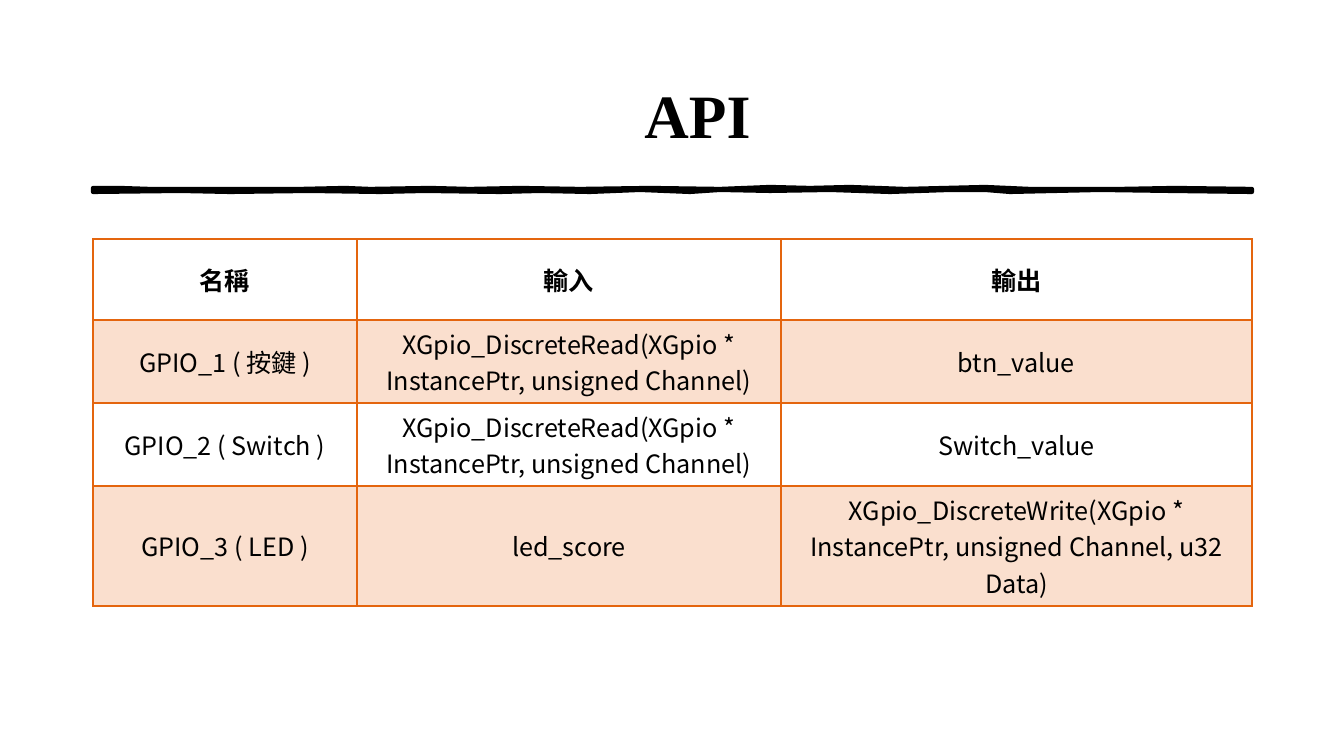
from lxml import etree
from pptx import Presentation
from pptx import util as u
from pptx.dml.color import RGBColor
from pptx.enum import text
from pptx.oxml.ns import qn

# Content
TITLE = "API"
READ = "XGpio_DiscreteRead(XGpio * InstancePtr, unsigned Channel)"
WRITE = "XGpio_DiscreteWrite(XGpio * InstancePtr, unsigned Channel, u32 Data)"
ROWS = [
    ("名稱", "輸入", "輸出"),
    ("GPIO_1 ( 按鍵 )", READ, "btn_value"),
    ("GPIO_2 ( Switch )", READ, "Switch_value"),
    ("GPIO_3 ( LED )", "led_score", WRITE),
]

# Look and layout, in px
COLORS = {"ink": "000000", "accent": "E4650E", "band": "FADFCE"}
SANS, SERIF = "Noto Sans CJK JP", "Times New Roman"
PX = 9071.43  # EMU per px, 100.8 px to the inch
LEFT, WIDTH = 93, 1159
TITLE_TOP, TITLE_HEIGHT, TITLE_INDENT = 40, 146, 50
TABLE_TOP = 239
COL_WIDTHS = [264, 424, 471]
ROW_HEIGHTS = [81, 83, 83, 120]
# Upper and lower edges of the brush stroke
STROKE_TOP = [(93, 188), (120, 188), (150, 189), (185, 189), (230, 189),
              (300, 189), (345, 188), (370, 189), (430, 188), (470, 189),
              (520, 188), (580, 189), (650, 188), (720, 189), (770, 187),
              (810, 188), (850, 187), (905, 189), (985, 187), (1030, 189),
              (1120, 189), (1175, 188), (1252, 189)]
STROKE_BOTTOM = [(1252, 192), (1170, 191), (1100, 190), (1010, 192),
                 (985, 190), (950, 190), (890, 192), (830, 190), (770, 191),
                 (720, 190), (690, 192), (640, 190), (590, 192), (540, 191),
                 (500, 192), (425, 191), (380, 192), (310, 191), (230, 192),
                 (180, 191), (93, 192)]


def px(n):
    return u.Emu(round(n * PX))


def rgb(name):
    return RGBColor.from_string(COLORS[name])


def write(tf, words, size=18, font=SANS, bold=False, indent=0):
    p = tf.paragraphs[0]
    p.alignment = text.PP_ALIGN.CENTER
    if indent:
        p._p.get_or_add_pPr().set("marL", str(px(indent)))
    r = p.add_run()
    r.text = words
    r.font.size, r.font.name, r.font.bold = u.Pt(size), font, bold
    r.font.color.rgb = rgb("ink")
    etree.SubElement(r._r.get_or_add_rPr(), qn("a:ea"), typeface=font)


def set_borders(cell, **widths):
    tcPr = cell._tc.get_or_add_tcPr()
    for i, side in enumerate("LRTB"):
        ln = etree.Element(qn(f"a:ln{side}"), w=str(u.Pt(widths.get(side, 1))))
        fill = etree.SubElement(ln, qn("a:solidFill"))
        etree.SubElement(fill, qn("a:srgbClr"), val=COLORS["accent"])
        tcPr.insert(i, ln)


prs = Presentation()
prs.slide_width, prs.slide_height = px(1344), px(756)
s = prs.slides.add_slide(prs.slide_layouts[6])

# Brush stroke under the title
start, *edge = STROKE_TOP + STROKE_BOTTOM
builder = s.shapes.build_freeform(*start, scale=PX)
builder.add_line_segments(edge, close=True)
sp = builder.convert_to_shape()
sp.shadow.inherit = False
sp.fill.solid()
sp.fill.fore_color.rgb = rgb("ink")
sp.line.color.rgb = rgb("ink")
sp.line.width = u.Pt(3)

# Title
sp = s.shapes.add_textbox(px(LEFT), px(TITLE_TOP), px(WIDTH), px(TITLE_HEIGHT))
tf = sp.text_frame
tf.word_wrap = True
tf.vertical_anchor = text.MSO_ANCHOR.MIDDLE
tf.margin_left = tf.margin_right = tf.margin_top = px(12)
tf.margin_bottom = px(10)
write(tf, TITLE, size=44, font=SERIF, bold=True, indent=TITLE_INDENT)

# Table
table = s.shapes.add_table(len(ROWS), len(COL_WIDTHS), px(LEFT), px(TABLE_TOP),
                           px(WIDTH), px(sum(ROW_HEIGHTS))).table
table.first_row = table.horz_banding = False
for column, width in zip(table.columns, COL_WIDTHS):
    column.width = px(width)
for i, (row, height) in enumerate(zip(table.rows, ROW_HEIGHTS)):
    row.height = px(height)
    for cell, words in zip(row.cells, ROWS[i]):
        cell.vertical_anchor = text.MSO_ANCHOR.MIDDLE
        write(cell.text_frame, words, bold=i == 0)
        if i % 2:
            cell.fill.solid()
            cell.fill.fore_color.rgb = rgb("band")
        else:
            cell.fill.background()
        set_borders(cell, T=2 if i == 1 else 1, B=2 if i == 0 else 1)

prs.save("out.pptx")
